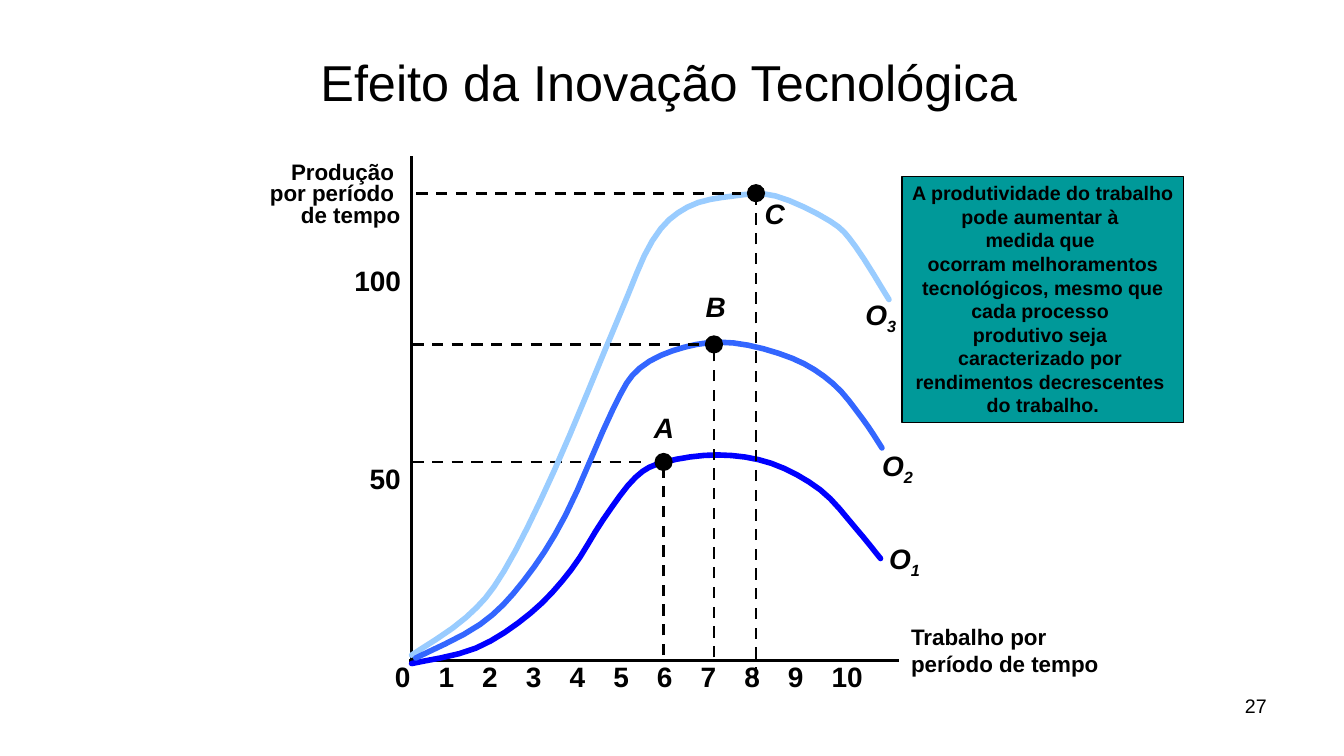
from pptx import Presentation
from pptx.dml.color import RGBColor
from pptx.enum.dml import MSO_LINE
from pptx.enum.shapes import MSO_CONNECTOR, MSO_SHAPE
from pptx.enum.text import MSO_ANCHOR, PP_ALIGN
from pptx.oxml.ns import qn
from pptx.util import Pt
from lxml import etree

LEFT, CENTER, RIGHT = PP_ALIGN.LEFT, PP_ALIGN.CENTER, PP_ALIGN.RIGHT
TOP, BOTTOM = MSO_ANCHOR.TOP, MSO_ANCHOR.BOTTOM
STRAIGHT, DASH = MSO_CONNECTOR.STRAIGHT, MSO_LINE.DASH
OVAL, RECTANGLE = MSO_SHAPE.OVAL, MSO_SHAPE.RECTANGLE

THEME = {
    "font": "Arial",
    "ink": "000000", "note_fill": "009999",
    "title": 36, "label": 20, "axis": 16, "note": 14, "page": 14,
    "thin": 1, "line": 2, "curve": 4,
}

# Content
TITLE = "Efeito da Inovação Tecnológica"
PAGE = "27"
X_TITLE = ["Trabalho por ", "período de tempo"]
Y_TITLE = ["Produção ", "por período ", "de tempo"]
Y_TICKS = [("50", 326), ("100", 185)]
X_TICKS = range(11)
NOTE = [
    "A produtividade do trabalho", "pode aumentar à ", "medida que ",
    "ocorram melhoramentos", " tecnológicos, mesmo que ", "cada processo ",
    "produtivo seja ", "caracterizado por ", "rendimentos decrescentes ",
    "do trabalho.",
]

# Curves: peak is the dot centre, origin is where its two guides begin
CURVES = [
    {"color": "0000FF", "number": "1", "number_at": (628, 383),
     "letter": "A", "letter_at": (460, 290),
     "peak": (474, 330), "origin": (294.5, 468),
     "knots": [(294, 474), (340, 463), (379, 438), (408, 407), (431, 371), (454, 341),
               (475, 330), (513, 325), (551, 331), (586, 350), (611, 377), (629, 399)]},
    {"color": "99CCFF", "number": "3", "number_at": (611, 209),
     "letter": "C", "letter_at": (539, 137),
     "peak": (540, 138), "origin": (297.5, 484.5),
     "knots": [(294, 468), (333, 441), (360, 408), (396, 336), (441, 229), (466, 172),
               (491, 148), (524, 140), (554, 140), (593, 158), (611, 176), (635, 214)]},
    {"color": "3366FF", "number": "2", "number_at": (623, 317),
     "letter": "B", "letter_at": (497, 203),
     "peak": (510, 246), "origin": (294.5, 469.5),
     "knots": [(297, 470), (343, 446), (374, 415), (404, 368), (438, 292), (457, 263),
               (489, 248), (524, 245), (566, 256), (595, 274), (616, 299), (630, 320)]},
]

# Layout
AXIS_X, AXIS_Y = 293.8, 471.6
TICK_LEFT, TICK_STEP, TICK_TOP = 275, 31.2, 467.3
LABEL_HEIGHT = 31
DOT = 12
GUIDE_GAP = 11
CURVE_STEPS = 4

presentation = Presentation()
presentation.slide_width, presentation.slide_height = Pt(960), Pt(540)
slide = presentation.slides.add_slide(presentation.slide_layouts[6])
shapes = slide.shapes


def color(value):
    return RGBColor.from_string(value)


def style(run, size, bold, italic):
    run.font.name, run.font.size = THEME["font"], Pt(THEME[size])
    run.font.bold, run.font.italic = bold, italic
    run.font.color.rgb = color(THEME["ink"])


def write(shape, lines, size, align=LEFT, bold=True, italic=False,
          anchor=TOP, wrap=False, spacing=None):
    frame = shape.text_frame
    frame.text = "\n".join(lines)
    frame.word_wrap, frame.vertical_anchor = wrap, anchor
    for paragraph in frame.paragraphs:
        paragraph.alignment = align
        paragraph.line_spacing = spacing
        for run in paragraph.runs:
            style(run, size, bold, italic)


def add_text(left, top, width, height, lines, size, **options):
    box = shapes.add_textbox(Pt(left), Pt(top), Pt(width), Pt(height))
    write(box, lines, size, **options)
    return box


def add_line(start, end, dash=None):
    line = shapes.add_connector(STRAIGHT, *map(Pt, start + end))
    line.line.color.rgb = color(THEME["ink"])
    line.line.width = Pt(THEME["line"])
    line.line.dash_style = dash
    etree.SubElement(line._element.spPr, qn("a:effectLst"))


def add_filled(kind, left, top, width, height, fill):
    shape = shapes.add_shape(kind, Pt(left), Pt(top), Pt(width), Pt(height))
    shape.shadow.inherit = False
    shape.fill.solid()
    shape.fill.fore_color.rgb = color(fill)
    shape.line.color.rgb = color(THEME["ink"])
    shape.line.width = Pt(THEME["thin"])
    return shape


def smooth(knots):
    """Catmull-Rom points through the knots."""
    padded = [knots[0], *knots, knots[-1]]
    points = [knots[0]]
    for before, start, end, after in zip(padded, padded[1:], padded[2:], padded[3:]):
        for step in range(1, CURVE_STEPS + 1):
            t = step / CURVE_STEPS
            points.append(tuple(
                b + t / 2 * (c - a + t * (2 * a - 5 * b + 4 * c - d
                                          + t * (3 * b - a - 3 * c + d)))
                for a, b, c, d in zip(before, start, end, after)))
    return points


def add_curve(knots, stroke):
    vertices = [(Pt(x), Pt(y)) for x, y in smooth(knots)]
    builder = shapes.build_freeform(*vertices[0])
    builder.add_line_segments(vertices[1:], close=False)
    curve = builder.convert_to_shape()
    curve.shadow.inherit = False
    curve.fill.background()
    curve.line.color.rgb = color(stroke)
    curve.line.width = Pt(THEME["curve"])
    outline = curve.line._get_or_add_ln()
    outline.set("cap", "rnd")
    etree.SubElement(outline, qn("a:round"))


# Page number and title
add_text(688, 492, 224, 37, [PAGE], "page", align=RIGHT, bold=False, wrap=True)
add_text(163.5, 22.5, 628.5, 61, [TITLE], "title", align=CENTER, bold=False,
         anchor=BOTTOM, wrap=True)

# Axes with their titles and ticks
add_line((AXIS_X, 111.6), (AXIS_X, 473))
add_line((292.3, AXIS_Y), (642.2, AXIS_Y))
add_text(643.7, 441.4, 149.8, 46, X_TITLE, "axis")
add_text(184.3, 113, 108.7, 53.3, Y_TITLE, "axis", align=RIGHT, spacing=0.8)
for label, top in Y_TICKS:
    width = 14.8 + 11 * len(label)
    add_text(AXIS_X - width, top, width, LABEL_HEIGHT, [label], "label")
for tick in X_TICKS:
    label = str(tick)
    add_text(TICK_LEFT + tick * TICK_STEP, TICK_TOP, 14.8 + 11 * len(label),
             LABEL_HEIGHT, [label], "label")

# Curves with guides, peak dots and labels
for curve in CURVES:
    peak_x, peak_y = curve["peak"]
    origin_x, origin_y = curve["origin"]
    add_curve(curve["knots"], curve["color"])
    add_line((peak_x, origin_y), (peak_x, peak_y + 1), DASH)
    add_line((origin_x, peak_y), (peak_x - GUIDE_GAP, peak_y), DASH)
    add_filled(OVAL, peak_x - DOT / 2, peak_y - DOT / 2, DOT, DOT, THEME["ink"])
    add_text(*curve["letter_at"], 29, LABEL_HEIGHT, [curve["letter"]], "label",
             italic=True)
    name = add_text(*curve["number_at"], 37.5, LABEL_HEIGHT, ["O"], "label", italic=True)
    subscript = name.text_frame.paragraphs[0].add_run()
    subscript.text = curve["number"]
    style(subscript, "label", True, True)
    subscript.font._element.set("baseline", "-25000")

# Note
note = add_filled(RECTANGLE, 644.4, 126, 201, 175.7, THEME["note_fill"])
write(note, NOTE, "note", align=CENTER)

presentation.save("out.pptx")
